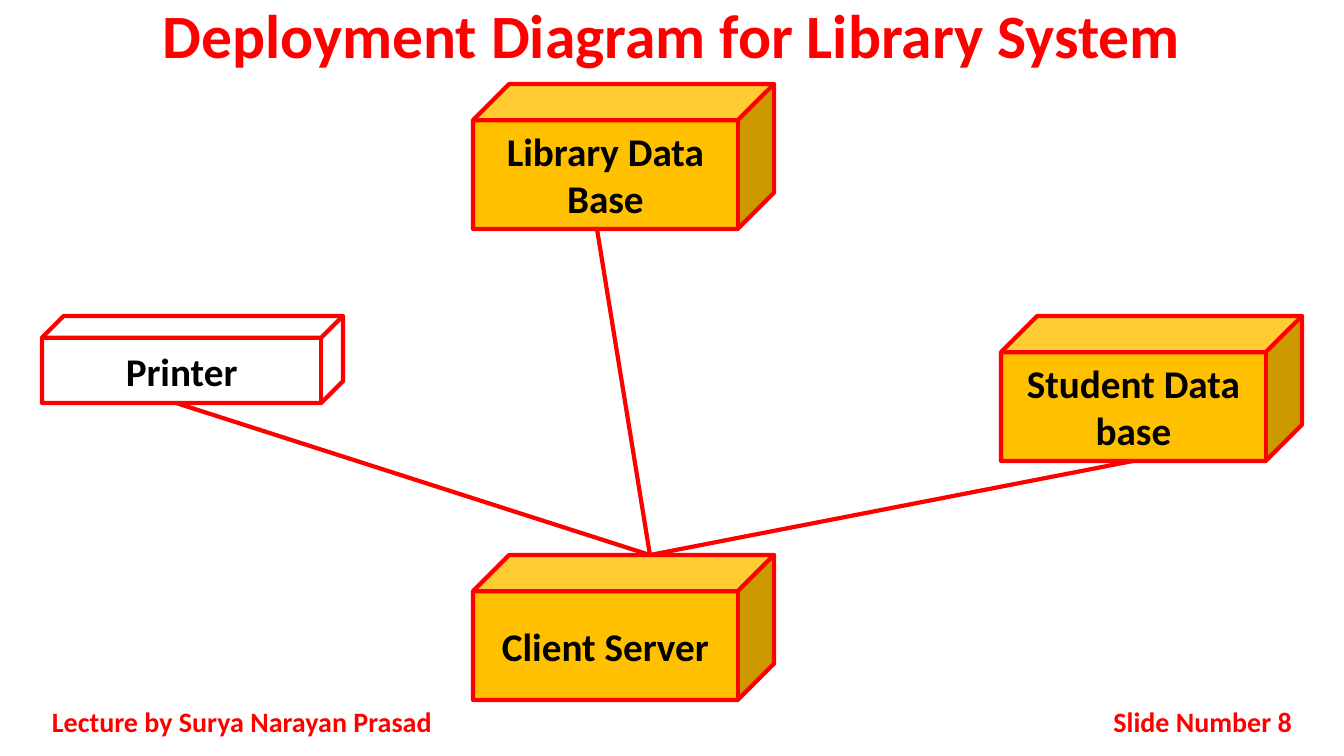
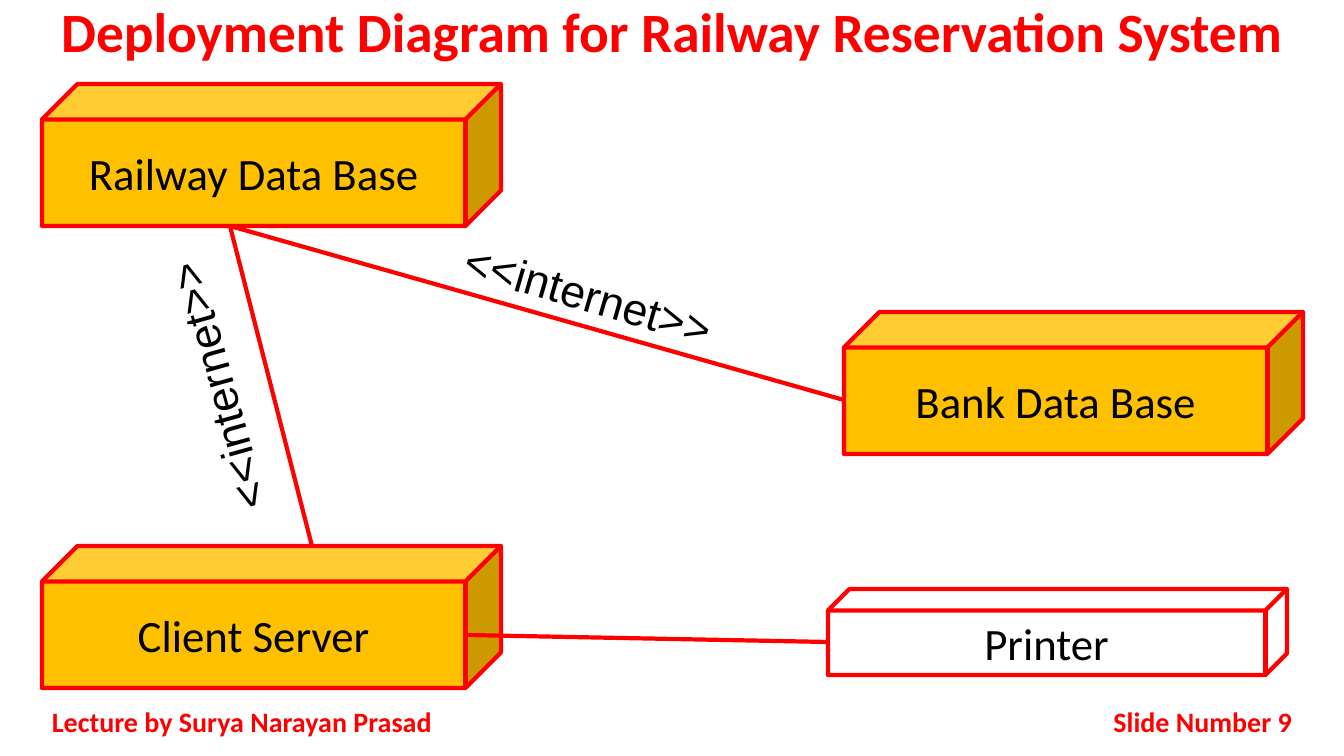
from dataclasses import dataclass
from typing import Optional

from lxml.etree import SubElement
from pptx import Presentation
from pptx.dml.color import RGBColor
from pptx.enum.shapes import MSO_CONNECTOR, MSO_SHAPE
from pptx.enum.text import MSO_ANCHOR, PP_ALIGN
from pptx.oxml.ns import qn
from pptx.slide import Slide
from pptx.text.text import TextFrame
from pptx.util import Emu, Pt

SCALE = 914400 / 100.8
WIDE, HIGH = 1344, 756


def px(n: int) -> Emu:
    return Emu(round(n * SCALE))


@dataclass(frozen=True)
class Theme:
    red: RGBColor = RGBColor(0xFF, 0x00, 0x00)
    gold: RGBColor = RGBColor(0xFF, 0xC0, 0x00)
    black: RGBColor = RGBColor(0x00, 0x00, 0x00)
    sans: str = "Calibri"
    plain: str = "Arial"
    foot: float = 20
    label: float = 32
    line: float = 3


THEME = Theme()


@dataclass(frozen=True)
class Style:
    size: float
    color: RGBColor
    bold: bool = False
    font: str = THEME.sans
    align: PP_ALIGN = PP_ALIGN.CENTER
    anchor: MSO_ANCHOR = MSO_ANCHOR.MIDDLE
    space: Optional[float] = None


@dataclass(frozen=True)
class Box:
    x: int
    y: int
    w: int
    h: int


@dataclass(frozen=True)
class Node:
    text: str
    box: Box
    fill: Optional[RGBColor] = THEME.gold


@dataclass(frozen=True)
class Link:
    x1: int
    y1: int
    x2: int
    y2: int


@dataclass(frozen=True)
class Label:
    text: str
    box: Box
    turn: float


@dataclass(frozen=True)
class Page:
    number: int
    title: str
    size: float
    node: Style
    nodes: tuple[Node, ...]
    links: tuple[Link, ...]
    labels: tuple[Label, ...] = ()


def write(frame: TextFrame, text: str, style: Style) -> None:
    frame.word_wrap = True
    frame.vertical_anchor = style.anchor
    para = frame.paragraphs[0]
    para.alignment = style.align
    if style.space:
        para.line_spacing = style.space
    run = para.add_run()
    run.text = text
    font = run.font
    font.name, font.size, font.bold = style.font, Pt(style.size), style.bold
    font.color.rgb = style.color


def add_text(slide: Slide, text: str, box: Box, style: Style, turn: float = 0) -> None:
    shape = slide.shapes.add_textbox(px(box.x), px(box.y), px(box.w), px(box.h))
    shape.rotation = turn
    write(shape.text_frame, text, style)


def add_node(slide: Slide, node: Node, style: Style) -> None:
    box = node.box
    cube = slide.shapes.add_shape(
        MSO_SHAPE.CUBE, px(box.x), px(box.y), px(box.w), px(box.h))
    cube.shadow.inherit = False
    if node.fill is None:
        cube.fill.background()
    else:
        cube.fill.solid()
        cube.fill.fore_color.rgb = node.fill
    cube.line.color.rgb = THEME.red
    cube.line.width = Pt(THEME.line)
    write(cube.text_frame, node.text, style)


def add_link(slide: Slide, link: Link) -> None:
    line = slide.shapes.add_connector(
        MSO_CONNECTOR.STRAIGHT, px(link.x1), px(link.y1), px(link.x2), px(link.y2))
    line.line.color.rgb = THEME.red
    line.line.width = Pt(THEME.line)
    SubElement(line._element.spPr, qn("a:effectLst"))


def add_frame(slide: Slide, page: Page) -> None:
    head = Style(page.size, THEME.red, True, anchor=MSO_ANCHOR.TOP, space=0.9)
    left = Style(THEME.foot, THEME.red, True, align=PP_ALIGN.JUSTIFY)
    right = Style(THEME.foot, THEME.red, True, align=PP_ALIGN.RIGHT)
    add_text(slide, page.title, Box(0, 0, WIDE, 84), head)
    add_text(slide, "Lecture by Surya Narayan Prasad", Box(42, 701, 420, 40), left)
    add_text(slide, f"Slide Number {page.number}", Box(1025, 701, 277, 40), right)


def add_page(deck: Presentation, page: Page) -> None:
    slide = deck.slides.add_slide(deck.slide_layouts[6])
    add_frame(slide, page)
    for node in page.nodes:
        add_node(slide, node, page.node)
    for link in page.links:
        add_link(slide, link)
    note = Style(THEME.label, THEME.black, font=THEME.plain, anchor=MSO_ANCHOR.TOP)
    for label in page.labels:
        add_text(slide, label.text, label.box, note, label.turn)


PAGES = (
    Page(
        8, "Deployment Diagram for Library System", 44,
        Style(28, THEME.black, True),
        (
            Node("Library Data Base", Box(473, 84, 301, 145)),
            Node("Client Server", Box(473, 555, 301, 145)),
            Node("Student Data base", Box(1001, 316, 301, 145)),
            Node("Printer", Box(42, 316, 301, 87), None),
        ),
        (
            Link(597, 229, 650, 555),
            Link(176, 403, 650, 555),
            Link(1133, 461, 650, 555),
        ),
    ),
    Page(
        9, "Deployment Diagram for Railway Reservation System", 39.6,
        Style(32, THEME.black),
        (
            Node("Railway Data Base", Box(42, 84, 459, 142)),
            Node("Client Server", Box(42, 546, 459, 142)),
            Node("Bank Data Base", Box(844, 312, 459, 142)),
            Node("Printer", Box(828, 589, 459, 86), None),
        ),
        (
            Link(230, 226, 312, 546),
            Link(844, 400, 230, 226),
            Link(828, 642, 465, 635),
        ),
        (
            Label("<<internet>>", Box(79, 354, 276, 65), 254.4),
            Label("<<internet>>", Box(344, 262, 489, 65), 16.2),
        ),
    ),
)


def main() -> None:
    deck = Presentation()
    deck.slide_width, deck.slide_height = px(WIDE), px(HIGH)
    for page in PAGES:
        add_page(deck, page)
    deck.save("out.pptx")


main()
